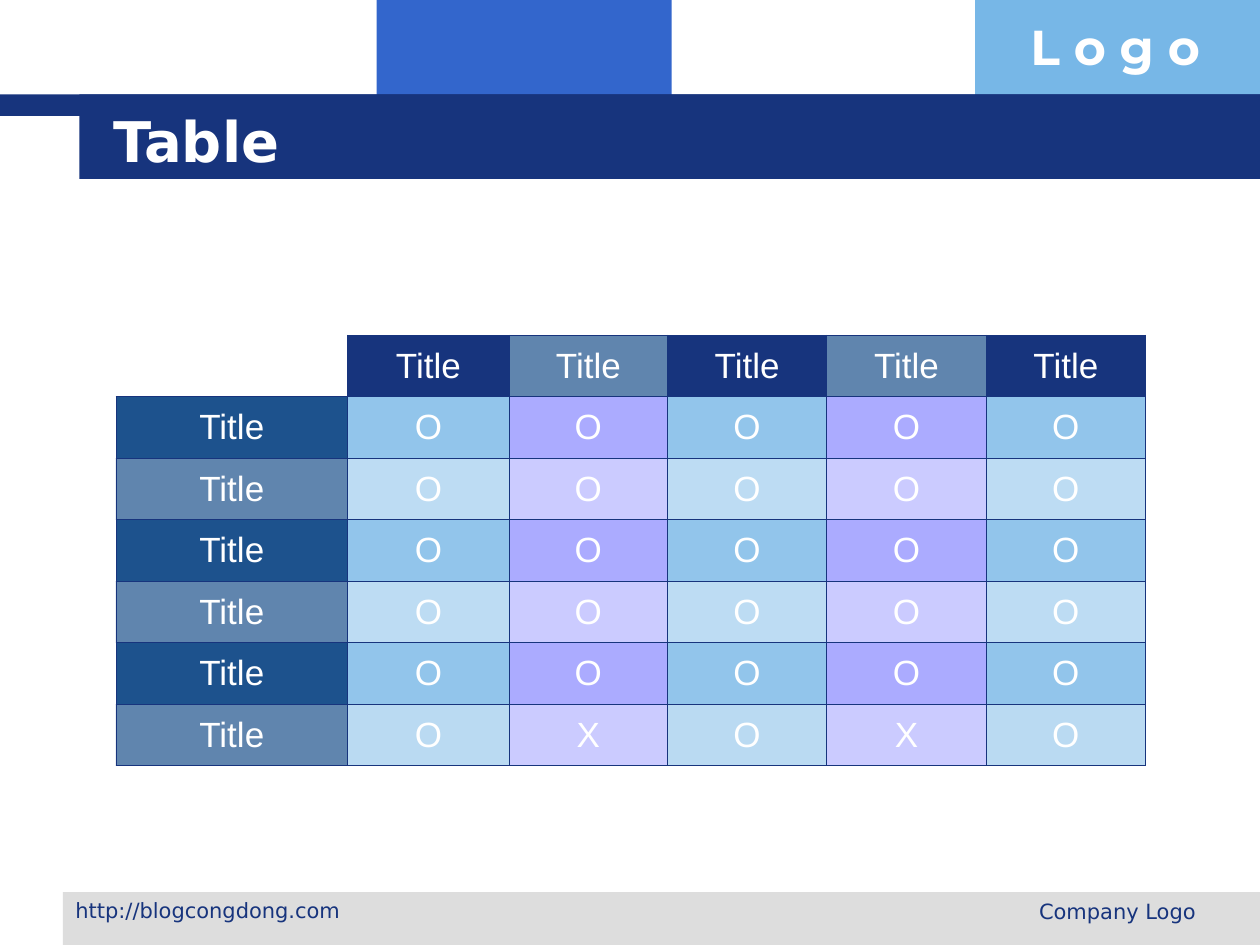
from lxml import etree
from pptx import Presentation
from pptx.dml.color import RGBColor
from pptx.enum import shapes, text
from pptx.oxml.ns import qn
from pptx.util import Inches, Pt

WHITE = RGBColor(0xFF, 0xFF, 0xFF)
NAVY = RGBColor(0x17, 0x34, 0x7D)
STEEL = RGBColor(0x1D, 0x52, 0x8D)
BLUE = RGBColor(0x33, 0x66, 0xCC)
SKY = RGBColor(0x77, 0xB7, 0xE7)
LILAC = RGBColor(0x99, 0x99, 0xFF)
GREY = RGBColor(0xDD, 0xDD, 0xDD)

COLUMN_WIDTHS = [1.84, 1.28, 1.26, 1.26, 1.27, 1.26]
ROWS = (
    [[""] + ["Title"] * 5]
    + [["Title"] + ["O"] * 5 for _ in range(5)]
    + [["Title", "O", "X", "O", "X", "O"]]
)


def add_bar(slide, x, y, w, h, color):
    sp = slide.shapes.add_shape(
        shapes.MSO_SHAPE.RECTANGLE, Inches(x), Inches(y), Inches(w), Inches(h))
    sp.shadow.inherit = False
    sp.fill.solid()
    sp.fill.fore_color.rgb = color
    sp.line.fill.background()


def add_label(slide, x, y, w, h, words, size, color, font="DejaVu Sans",
              bold=False, align=text.PP_ALIGN.LEFT, anchor=text.MSO_ANCHOR.TOP):
    tf = slide.shapes.add_textbox(
        Inches(x), Inches(y), Inches(w), Inches(h)).text_frame
    tf.word_wrap = True
    tf.vertical_anchor = anchor
    p = tf.paragraphs[0]
    p.text = words
    p.alignment = align
    p.font.size = Pt(size)
    p.font.name = font
    p.font.bold = bold
    p.font.color.rgb = color


def add_header(slide, x, y, w, h):
    add_bar(slide, x + 2.99, y, 2.34, 0.92, BLUE)
    add_bar(slide, x + w - 2.26, y, 2.26, 0.92, SKY)
    add_bar(slide, x, y + 0.75, w, 0.17, NAVY)
    add_bar(slide, x + 0.63, y + 0.75, w - 0.63, h - 0.75, NAVY)
    add_label(slide, x + 8.08, y + 0.08, 1.92, 0.57, "L o g o", 28, WHITE,
              font="Montserrat", bold=True)
    add_label(slide, x + 0.8, y + 0.8, 8.53, h - 0.8, "Table", 32, WHITE,
              bold=True, anchor=text.MSO_ANCHOR.MIDDLE)


def add_footer(slide, x, y, w, h):
    add_bar(slide, x, y, w, h, GREY)
    add_label(slide, x, y - 0.01, 2.45, 0.35, "http://blogcongdong.com", 12, NAVY)
    add_label(slide, x + 5.92, y, 3.17, 0.35, "Company Logo", 12, NAVY,
              align=text.PP_ALIGN.RIGHT)


def set_borders(cell, visible):
    tcPr = cell._tc.get_or_add_tcPr()
    for side in "LRTB":
        ln = etree.SubElement(tcPr, qn(f"a:ln{side}"), w=str(Pt(0.45)))
        if side in visible:
            fill = etree.SubElement(ln, qn("a:solidFill"))
            etree.SubElement(fill, qn("a:srgbClr"), val=str(NAVY))
        else:
            etree.SubElement(ln, qn("a:noFill"))


def set_fill(cell, color, opacity):
    cell.fill.solid()
    cell.fill.fore_color.rgb = color
    if opacity < 100:
        clr = cell._tc.tcPr.find(qn("a:solidFill")).find(qn("a:srgbClr"))
        etree.SubElement(clr, qn("a:alpha"), val=str(opacity * 1000))


def cell_fill(row, col):
    if row == 0:
        return (NAVY, 100) if col % 2 else (STEEL, 70)
    if col == 0:
        return (STEEL, 100) if row % 2 else (STEEL, 70)
    if col % 2 == 0:
        return LILAC, 82 if row % 2 else 50
    if row == len(ROWS) - 1:
        return SKY, 50
    return SKY, 80 if row % 2 else 48


def add_grid(slide, x, y, w, h):
    table = slide.shapes.add_table(
        len(ROWS), len(COLUMN_WIDTHS),
        Inches(x), Inches(y), Inches(w), Inches(h)).table
    table.first_row = table.horz_banding = False
    for column, width in zip(table.columns, COLUMN_WIDTHS):
        column.width = Inches(w * width / sum(COLUMN_WIDTHS))
    for r, words in enumerate(ROWS):
        for c, word in enumerate(words):
            cell = table.cell(r, c)
            if not word:
                set_borders(cell, "RB")
                cell.fill.background()
                continue
            set_borders(cell, "LRTB")
            set_fill(cell, *cell_fill(r, c))
            cell.vertical_anchor = text.MSO_ANCHOR.MIDDLE
            p = cell.text_frame.paragraphs[0]
            p.text = word
            p.alignment = text.PP_ALIGN.CENTER
            p.font.size = Pt(20)
            p.font.name = "Arial"
            p.font.color.rgb = WHITE


def main():
    prs = Presentation()
    prs.slide_width = Inches(10)
    prs.slide_height = Inches(7.5)
    slide = prs.slides.add_slide(prs.slide_layouts[6])
    add_header(slide, 0, 0, 10, 1.42)
    add_footer(slide, 0.5, 7.08, 9.5, 0.42)
    add_grid(slide, 0.92, 2.66, 8.17, 3.42)
    prs.save("out.pptx")


if __name__ == "__main__":
    main()
